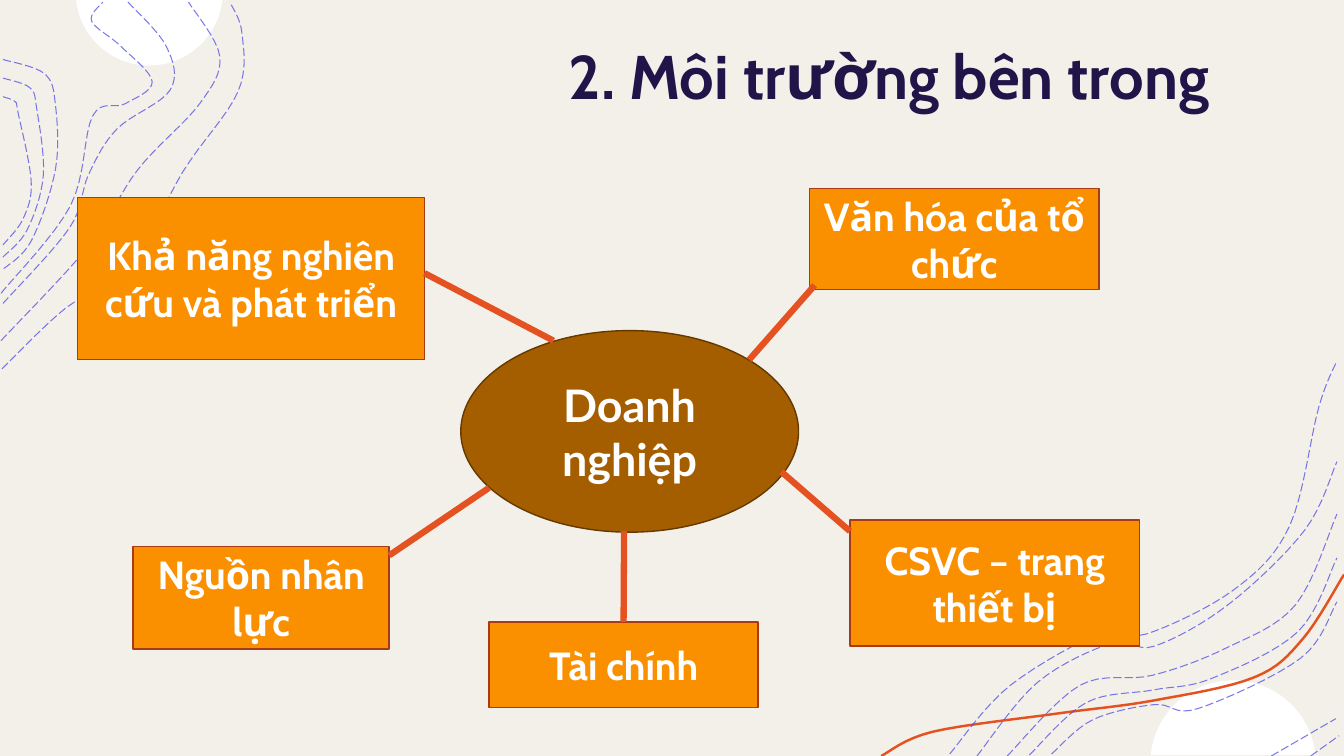
"""Build a slide that maps the internal environment of a business."""
import math
from pptx import Presentation
from pptx.dml.color import RGBColor
from pptx.enum.dml import MSO_LINE
from pptx.enum.shapes import MSO_CONNECTOR, MSO_SHAPE
from pptx.enum.text import MSO_ANCHOR, MSO_AUTO_SIZE, PP_ALIGN
from pptx.oxml.ns import qn
from pptx.util import Inches, Pt
from lxml import etree

RECT, OVAL = MSO_SHAPE.RECTANGLE, MSO_SHAPE.OVAL
STRAIGHT, DASH = MSO_CONNECTOR.STRAIGHT, MSO_LINE.LONG_DASH
LEFT, CENTER = PP_ALIGN.LEFT, PP_ALIGN.CENTER
MIDDLE, FIXED = MSO_ANCHOR.MIDDLE, MSO_AUTO_SIZE.NONE

TITLE = ("2. Môi trường bên trong", (5.54, 0.02, 7.55, 1.45))
HUB = ("Doanh nghiệp", (4.57, 3.28, 3.35, 2))
BOXES = [
    ("Khả năng nghiên cứu và phát triển", (0.77, 1.96, 3.44, 1.61)),
    ("Văn hóa của tổ chức", (8.03, 1.87, 2.87, 1)),
    ("Nguồn nhân lực", (1.32, 5.42, 2.54, 1.02)),
    ("CSVC – trang thiết bị", (8.43, 5.16, 2.87, 1.25)),
    ("Tài chính", (4.85, 6.17, 2.67, 0.85)),
]
LINKS = [
    (5.49, 3.38, 4.21, 2.71),
    (7.43, 3.57, 8.08, 2.83),
    (4.85, 4.84, 3.86, 5.51),
    (7.75, 4.68, 8.43, 5.27),
    (6.19, 5.27, 6.19, 6.17),
]
DISCS = [(1.48, -0.08, 0.73, 1), (12.23, 7.57, 0.82, -1)]
RIBBON = [(8.74, 7.5), (9.25, 7.26), (10.48, 7.08), (11.44, 6.95),
          (12.44, 6.72), (12.92, 6.34), (13.33, 5.7)]
WAVES = [
    [(0.02, 3.66), (0.66, 3.05), (1.27, 2.69), (1.81, 1.71),
     (2.36, 0.91), (2.4, 0.33), (2.28, 0.02)],
    [(0.01, 3.38), (0.88, 2.44), (1.37, 1.68), (1.98, 1.03),
     (2.18, 0.56), (1.87, 0.02)],
    [(1.27, 0.02), (1.65, 0.46), (1.69, 0.89), (1.16, 1.28),
     (0.88, 1.73), (0.69, 2.26), (0.03, 3.01)],
    [(0.01, 2.91), (0.7, 2.04), (0.92, 1.15), (1.24, 1.03),
     (1.51, 0.81), (1.2, 0.46), (0.91, 0.21), (1.02, 0.02)],
    [(9.42, 7.48), (10.02, 6.8), (10.98, 6.25), (11.37, 6.29),
     (12.24, 5.85), (12.79, 5.22), (13.08, 4.04), (13.26, 3.58)],
    [(9.69, 7.5), (10.29, 6.77), (11.03, 6.38), (11.45, 6.41),
     (12.18, 6), (12.94, 5.26), (13.26, 4.58)],
    [(13, 7.5), (13.28, 7.3)],
    [(12.61, 7.5), (13.25, 7.13)],
]
BANDS = [
    ([(0.03, 0.59), (0.44, 0.73), (0.55, 1.04), (0.55, 1.68), (0.31, 2.39), (0.02, 2.68)],
     [(0.03, 0.96), (0.15, 1.01), (0.18, 1.12), (0.31, 1.8), (0.23, 2.17), (0.03, 2.43)]),
    ([(9.99, 7.5), (10.71, 6.8), (11.43, 6.7), (12.16, 6.43), (12.85, 6), (13.26, 5.1)],
     [(10.43, 7.48), (10.84, 7.14), (11.45, 6.99), (11.88, 7.03), (12.9, 6.53),
      (13.26, 5.97)]),
]


def paint(part, tone):
    if hasattr(part, "solid"):
        part.solid()
        part = part.fore_color
    elif hasattr(part, "color"):
        part = part.color
    part.rgb = RGBColor.from_string(tone)


def apply(item, form):
    for name, value in form.items():
        setattr(item, name, value)


def place(shape, at):
    apply(shape, dict(zip(("left", "top", "width", "height"), map(Inches, at))))


def write(shape, text, face, size, tone, align):
    frame = shape.text_frame
    apply(frame, {"text": text, "word_wrap": True, "auto_size": FIXED,
                  "vertical_anchor": MIDDLE})
    para = frame.paragraphs[0]
    para.alignment = align
    font = para.runs[0].font
    apply(font, {"name": face, "size": Pt(size), "bold": True})
    paint(font.color, tone)


def node(slide, kind, item, fill, edge, face, size):
    text, at = item
    shape = slide.shapes.add_shape(kind, *map(Inches, at))
    shape.shadow.inherit = False
    paint(shape.fill, fill)
    paint(shape.line, edge)
    shape.line.width = Pt(1)
    write(shape, text, face, size, "FFFFFF", CENTER)
    return shape


def smooth(knots, steps=8):
    ends = [knots[0], *knots, knots[-1]]
    dots = [knots[0]]
    for a, b, c, d in zip(ends, ends[1:], ends[2:], ends[3:]):
        for step in range(1, steps + 1):
            t = step / steps
            dots.append(tuple(
                q + t * (r - p + t * (2 * p - 5 * q + 4 * r - s
                                      + t * (3 * q - p - 3 * r + s))) / 2
                for p, q, r, s in zip(a, b, c, d)))
    return dots


def middle(outer, inner):
    return [((x + u) / 2, (y + v) / 2) for (x, y), (u, v) in zip(outer, inner)]


def outline(slide, dots, close=False):
    dots = [(Inches(x), Inches(y)) for x, y in dots]
    pen = slide.shapes.build_freeform(*dots[0])
    pen.add_line_segments(dots[1:], close=close)
    shape = pen.convert_to_shape()
    shape.shadow.inherit = False
    shape.fill.background()
    return shape


def disc(slide, x, y, radius, way):
    half = math.acos(0.08 / radius)
    turns = [half * i / 24 for i in range(-24, 25)]
    dots = [(x + radius * math.sin(a), y + way * radius * math.cos(a)) for a in turns]
    shape = outline(slide, dots, True)
    paint(shape.fill, "FFFFFF")
    shape.line.fill.background()


def stroke(slide, knots, tone, width):
    shape = outline(slide, smooth(knots))
    paint(shape.line, tone)
    shape.line.width = Pt(width)
    return shape


def wave(slide, knots):
    shape = stroke(slide, knots, "4D4EE6", 0.75)
    shape.line.dash_style = DASH
    tint = next(shape._element.spPr.iter(qn("a:srgbClr")))
    etree.SubElement(tint, qn("a:alpha"), val="75000")


def link(slide, ends):
    line = slide.shapes.add_connector(STRAIGHT, *map(Inches, ends))
    paint(line.line, "E45221")
    line.line.width = Pt(4.5)
    etree.SubElement(line._element.spPr, qn("a:effectLst"))
    return line


def main():
    deck = Presentation()
    apply(deck, {"slide_width": Inches(13.33), "slide_height": Inches(7.5)})
    slide = deck.slides.add_slide(deck.slide_layouts[5])
    paint(slide.background.fill, "F3F0E9")
    for spot in DISCS:
        disc(slide, *spot)
    stroke(slide, RIBBON, "E45221", 1.75)
    bands = [knots for outer, inner in BANDS
             for knots in (outer, middle(outer, inner), inner)]
    for knots in WAVES + bands:
        wave(slide, knots)
    place(slide.shapes.title, TITLE[1])
    write(slide.shapes.title, TITLE[0], "Cabin", 44, "201449", LEFT)
    node(slide, OVAL, HUB, "A45E00", "643900", "Lato", 32)
    boxes = [node(slide, RECT, item, "FA8F00", "A63B18", "Cabin", 28) for item in BOXES]
    lines = [link(slide, ends) for ends in LINKS]
    lines[-1].end_connect(boxes[-1], 0)
    deck.save("out.pptx")


if __name__ == "__main__":
    main()
